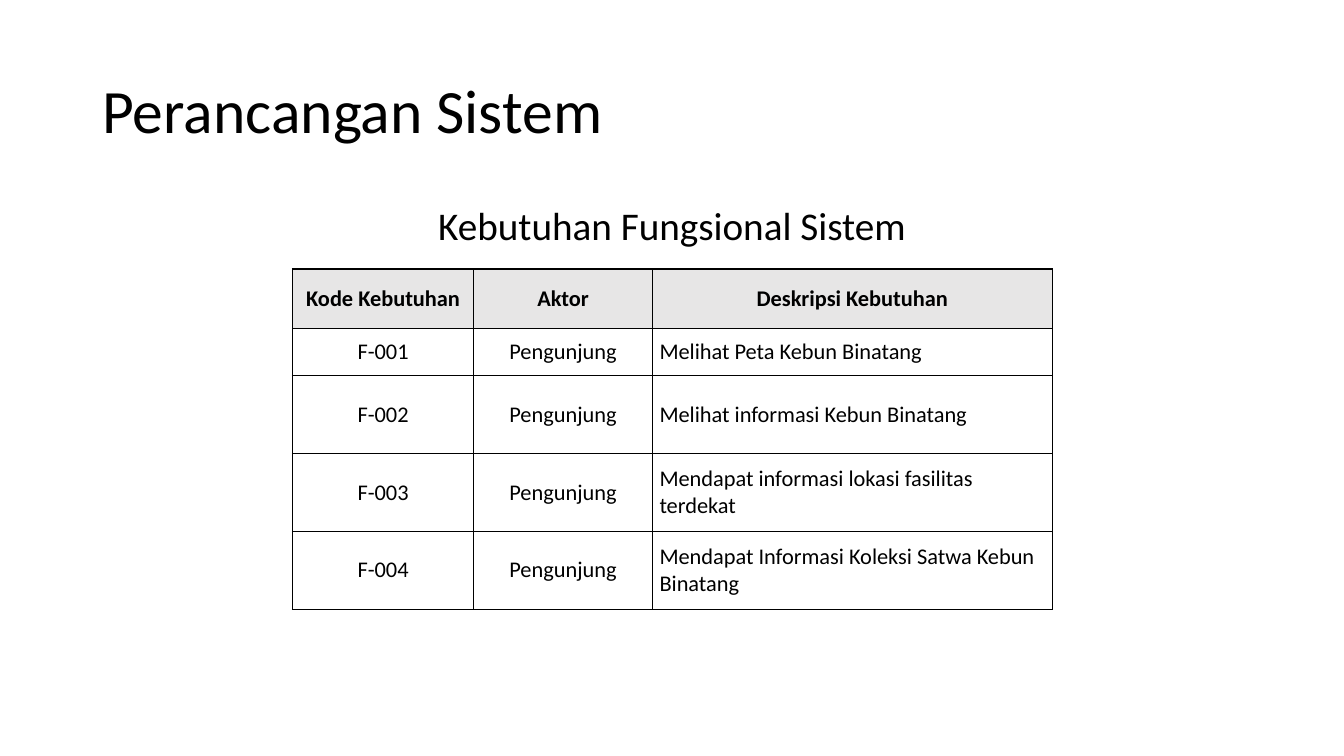
from lxml.etree import SubElement
from pptx import Presentation
from pptx.dml.color import RGBColor
from pptx.enum.text import MSO_ANCHOR as Anchor, PP_ALIGN as Align
from pptx.oxml.ns import qn
from pptx.util import Cm, Pt

COLUMN_WIDTHS = [4.57, 4.5, 10.08]
ROW_HEIGHTS = [1.5, 1.19, 1.96, 1.96, 1.96]
HEADERS = ["Kode Kebutuhan", "Aktor", "Deskripsi Kebutuhan"]
NEEDS = [
    "Melihat Peta Kebun Binatang",
    "Melihat informasi Kebun Binatang",
    "Mendapat informasi lokasi fasilitas terdekat",
    "Mendapat Informasi Koleksi Satwa Kebun Binatang",
]


def color(hex_value):
    return RGBColor.from_string(hex_value)


class SlideBuilder:
    font_name = "Calibri"
    ink = "000000"
    header_fill = "E7E6E6"

    def __init__(self, slide):
        self.slide = slide

    def add_text_run(self, paragraph, text, size, align, bold=False):
        paragraph.alignment = align
        run = paragraph.add_run()
        run.text = text
        run.font.name = self.font_name
        run.font.size = Pt(size)
        run.font.bold = bold
        run.font.color.rgb = color(self.ink)

    def add_text(self, box, text, size, align, anchor):
        shape = self.slide.shapes.add_textbox(*(Cm(length) for length in box))
        frame = shape.text_frame
        frame.word_wrap = True
        frame.vertical_anchor = anchor
        paragraph = frame.paragraphs[0]
        paragraph.line_spacing = 0.9
        self.add_text_run(paragraph, text, size, align)

    def add_borders(self, cell):
        properties = cell._tc.get_or_add_tcPr()
        for side in ("a:lnL", "a:lnR", "a:lnT", "a:lnB"):
            line = SubElement(properties, qn(side), w=str(Pt(1)))
            fill = SubElement(line, qn("a:solidFill"))
            SubElement(fill, qn("a:srgbClr"), val=self.ink)

    def fill_cell(self, cell, text, align, header):
        cell.margin_left = cell.margin_right = Cm(0.18)
        cell.margin_top = cell.margin_bottom = 0
        cell.vertical_anchor = Anchor.MIDDLE
        self.add_borders(cell)
        if header:
            cell.fill.solid()
            cell.fill.fore_color.rgb = color(self.header_fill)
        else:
            cell.fill.background()
        paragraph = cell.text_frame.paragraphs[0]
        self.add_text_run(paragraph, text, 16, align, bold=header)

    def add_table(self, left, top, widths, heights, rows):
        """Add a bordered table whose first row is the header and last column is prose."""
        table = self.slide.shapes.add_table(
            len(heights), len(widths), Cm(left), Cm(top),
            Cm(sum(widths)), Cm(sum(heights))).table
        table.first_row = table.horz_banding = False
        for column, width in zip(table.columns, widths):
            column.width = Cm(width)
        for row, height in zip(table.rows, heights):
            row.height = Cm(height)
        for row_index, texts in enumerate(rows):
            header = row_index == 0
            for column_index, text in enumerate(texts):
                prose = not header and column_index == len(widths) - 1
                self.fill_cell(table.cell(row_index, column_index), text,
                               Align.LEFT if prose else Align.CENTER, header)


def main():
    presentation = Presentation()
    presentation.slide_width = Cm(33.87)
    presentation.slide_height = Cm(19.05)
    builder = SlideBuilder(
        presentation.slides.add_slide(presentation.slide_layouts[6]))

    builder.add_text((2.33, 1.01, 29.21, 3.68), "Perancangan Sistem",
                     44, Align.JUSTIFY, Anchor.MIDDLE)
    builder.add_text((2.33, 5.07, 29.21, 12.09), "Kebutuhan Fungsional Sistem",
                     28, Align.CENTER, Anchor.TOP)
    rows = [HEADERS] + [[f"F-{number:03}", "Pengunjung", need]
                        for number, need in enumerate(NEEDS, 1)]
    builder.add_table(7.37, 6.78, COLUMN_WIDTHS, ROW_HEIGHTS, rows)
    presentation.save("out.pptx")


if __name__ == "__main__":
    main()
